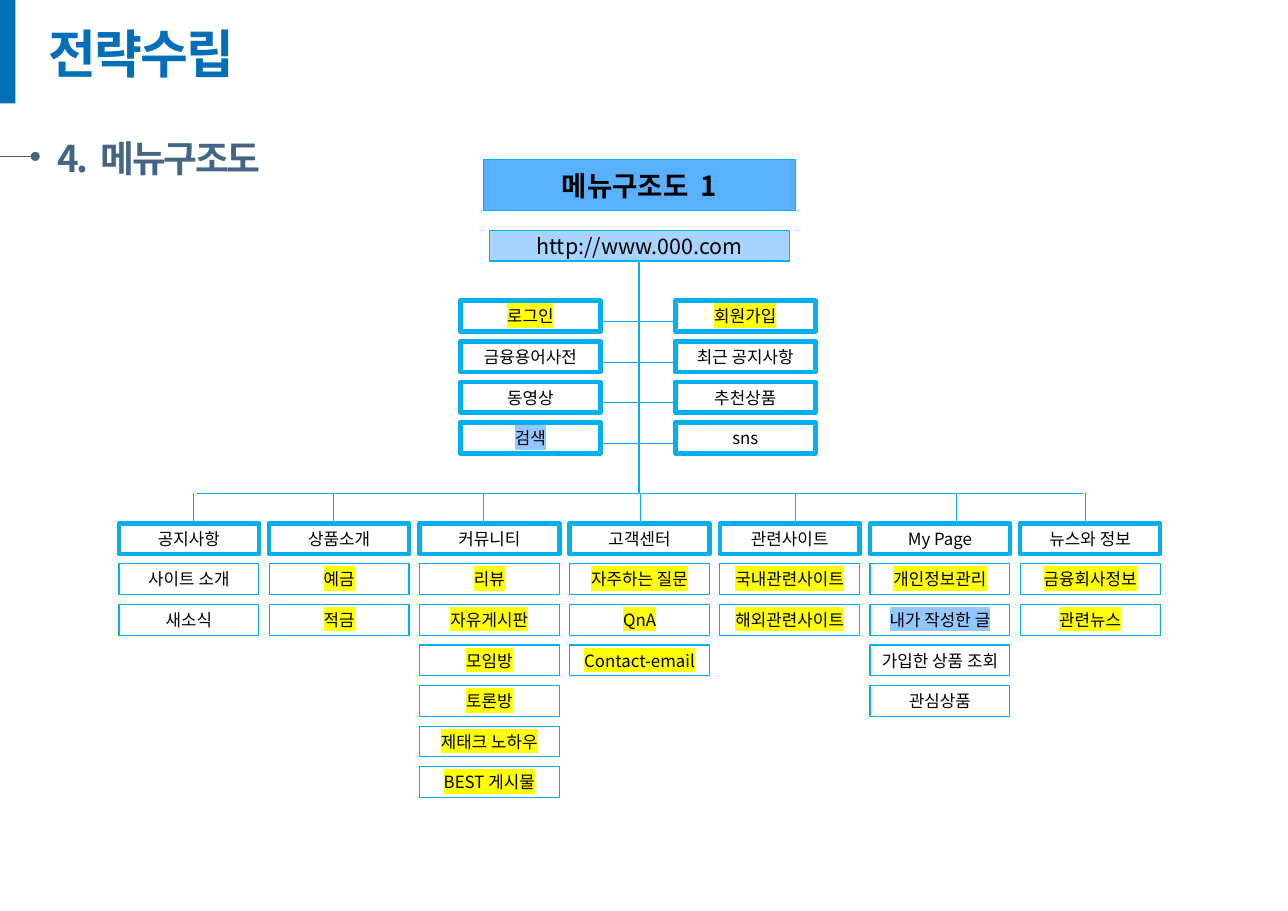
"""Build the menu structure slide of a financial information site."""
from dataclasses import dataclass

from lxml import etree
from pptx import Presentation
from pptx.dml.color import RGBColor
from pptx.enum.shapes import MSO_CONNECTOR, MSO_SHAPE
from pptx.enum.text import MSO_ANCHOR, MSO_AUTO_SIZE, PP_ALIGN
from pptx.oxml.ns import qn
from pptx.shapes.autoshape import Shape
from pptx.shapes.connector import Connector
from pptx.slide import Slide
from pptx.text.text import TextFrame, _Paragraph
from pptx.util import Inches, Pt

RECTANGLE = MSO_SHAPE.RECTANGLE
STRAIGHT = MSO_CONNECTOR.STRAIGHT
MIDDLE = MSO_ANCHOR.MIDDLE
TOP = MSO_ANCHOR.TOP
CENTER = PP_ALIGN.CENTER
LEFT = PP_ALIGN.LEFT
NO_AUTO_SIZE = MSO_AUTO_SIZE.NONE


@dataclass(frozen=True)
class Theme:
    """Colours, type sizes and line widths of the slide."""

    font: str = "Noto Sans CJK KR"
    title: str = "016FB8"
    subtitle: str = "446684"
    text: str = "000000"
    border: str = "00B0F0"
    white: str = "FFFFFF"
    banner: str = "59B0FF"
    address: str = "A6D4FF"
    yellow: str = "FFFF00"
    blue: str = "94C7FF"
    title_size: float = 34
    subtitle_size: float = 24
    banner_size: float = 18
    address_size: float = 14
    menu_size: float = 11
    thick: float = 3
    thin: float = 0.75
    hairline: float = 0.5


THEME = Theme()


@dataclass(frozen=True)
class TextStyle:
    """Look of one run of text."""

    size: float
    color: str = THEME.text
    bold: bool = False
    spacing: float = 0
    highlight: str = ""


@dataclass(frozen=True)
class MenuItem:
    """One menu entry and its highlight colour."""

    label: str
    highlight: str = ""


@dataclass(frozen=True)
class MenuColumn:
    """One main menu with the position of its branch and its entries."""

    heading: str
    branch_x: float
    items: tuple[MenuItem, ...]


def marked(*labels: str) -> tuple[MenuItem, ...]:
    """Return yellow entries for the labels."""
    return tuple(MenuItem(label, THEME.yellow) for label in labels)


MENU_COLUMNS = (
    MenuColumn("공지사항", 1.76, (MenuItem("사이트 소개"), MenuItem("새소식"))),
    MenuColumn("상품소개", 3.03, marked("예금", "적금")),
    MenuColumn("커뮤니티", 4.39, marked(
        "리뷰", "자유게시판", "모임방", "토론방", "제태크 노하우", "BEST 게시물")),
    MenuColumn("고객센터", 5.81, marked("자주하는 질문", "QnA", "Contact-email")),
    MenuColumn("관련사이트", 7.22, marked("국내관련사이트", "해외관련사이트")),
    MenuColumn("My Page", 8.68, (
        *marked("개인정보관리"), MenuItem("내가 작성한 글", THEME.blue),
        MenuItem("가입한 상품 조회"), MenuItem("관심상품"))),
    MenuColumn("뉴스와 정보", 9.85, marked("금융회사정보", "관련뉴스")),
)
SIDE_MENUS = {
    4.18: (*marked("로그인"), MenuItem("금융용어사전"), MenuItem("동영상"),
           MenuItem("검색", THEME.blue)),
    6.13: (*marked("회원가입"), MenuItem("최근 공지사항"), MenuItem("추천상품"),
           MenuItem("sns")),
}
BOX_WIDTH, BOX_HEIGHT = 1.27, 0.28
MENU_LEFT, MENU_TOP, SIDE_TOP = 1.08, 4.75, 2.73
COLUMN_STEP = (9.26 - MENU_LEFT) / 6
ROW_STEP = (6.96 - MENU_TOP) / 6
TRUNK_X, TRUNK_TOP, BRANCH_Y = 5.8, 2.38, 4.48
SIDE_LINE_STOPS = (5.35, 5.74, 6.13)
SIDE_LINE_TOP = 2.92


def add_run(paragraph: _Paragraph, text: str, style: TextStyle) -> None:
    """Add one styled run to a paragraph."""
    run = paragraph.add_run()
    run.text = text
    run.font.size = Pt(style.size)
    run.font.bold = style.bold
    run.font.color.rgb = RGBColor.from_string(style.color)
    properties = run._r.get_or_add_rPr()
    if style.spacing:
        properties.set("spc", str(round(style.spacing * 100)))
    if style.highlight:
        highlight = etree.SubElement(properties, qn("a:highlight"))
        etree.SubElement(highlight, qn("a:srgbClr"), val=style.highlight)
    run.font.name = THEME.font
    etree.SubElement(properties, qn("a:ea"), typeface=THEME.font)


def prepare_frame(frame: TextFrame, anchor: MSO_ANCHOR, alignment: PP_ALIGN) -> _Paragraph:
    """Set up an unwrapped text frame and return its paragraph."""
    frame.word_wrap = False
    frame.auto_size = NO_AUTO_SIZE
    frame.vertical_anchor = anchor
    frame.paragraphs[0].alignment = alignment
    return frame.paragraphs[0]


def add_rectangle(slide: Slide, left: float, top: float, width: float, height: float,
                  fill: str, line_width: float = 0) -> Shape:
    """Add a filled rectangle, outlined when a line width is given."""
    shape = slide.shapes.add_shape(
        RECTANGLE, Inches(left), Inches(top), Inches(width), Inches(height))
    shape.shadow.inherit = False
    shape.fill.solid()
    shape.fill.fore_color.rgb = RGBColor.from_string(fill)
    if line_width:
        shape.line.color.rgb = RGBColor.from_string(THEME.border)
        shape.line.width = Pt(line_width)
    else:
        shape.line.fill.background()
    return shape


def write_label(shape: Shape, *runs: tuple[str, TextStyle]) -> None:
    """Write centred runs in a box."""
    paragraph = prepare_frame(shape.text_frame, MIDDLE, CENTER)
    for text, style in runs:
        add_run(paragraph, text, style)


def add_menu_box(slide: Slide, left: float, top: float, item: MenuItem,
                 line_width: float) -> None:
    """Add one menu entry box."""
    shape = add_rectangle(slide, left, top, BOX_WIDTH, BOX_HEIGHT, THEME.white, line_width)
    write_label(shape, (item.label, TextStyle(THEME.menu_size, highlight=item.highlight)))


def add_line(slide: Slide, start: tuple[float, float], end: tuple[float, float],
             color: str = THEME.border, width: float = THEME.thin) -> Connector:
    """Add a straight line without a shadow."""
    line = slide.shapes.add_connector(STRAIGHT, *map(Inches, (*start, *end)))
    line.line.color.rgb = RGBColor.from_string(color)
    line.line.width = Pt(width)
    etree.SubElement(line._element.spPr, qn("a:effectLst"))
    return line


def add_headings(slide: Slide) -> None:
    """Add the title, the subtitle and their marks."""
    add_rectangle(slide, 0, 0, 0.14, 0.94, THEME.title)
    title = slide.shapes.title
    title.left, title.top, title.width, title.height = map(Inches, (0.34, 0.2, 2.01, 0.62))
    paragraph = prepare_frame(title.text_frame, MIDDLE, LEFT)
    paragraph.line_spacing = 0.9
    add_run(paragraph, "전략수립", TextStyle(THEME.title_size, THEME.title, True, -1.1))

    subtitle = slide.shapes.add_textbox(*map(Inches, (0.42, 1.18, 2.09, 0.5)))
    paragraph = prepare_frame(subtitle.text_frame, TOP, LEFT)
    for text, spacing in (("4.", -1.5), (" ", 2.5), ("메뉴구조도", -1.5)):
        add_run(paragraph, text, TextStyle(THEME.subtitle_size, THEME.subtitle, True, spacing))
    pointer = add_line(slide, (-0.01, 1.42), (0.32, 1.42), THEME.subtitle, THEME.hairline)
    etree.SubElement(pointer.line._get_or_add_ln(), qn("a:tailEnd"), type="oval")


def add_site_map(slide: Slide) -> None:
    """Add the banner, the connecting lines and all menus."""
    add_line(slide, (1.79, BRANCH_Y), (9.83, BRANCH_Y))
    add_line(slide, (TRUNK_X, TRUNK_TOP), (TRUNK_X, BRANCH_Y))
    banner = add_rectangle(slide, 4.39, 1.45, 2.83, 0.46, THEME.banner, THEME.thin)
    bold = TextStyle(THEME.banner_size, bold=True)
    gap = TextStyle(THEME.banner_size, bold=True, spacing=4)
    write_label(banner, ("메뉴구조도", bold), (" ", gap), ("1", bold))
    address = add_rectangle(slide, 4.44, 2.09, 2.73, BOX_HEIGHT, THEME.address, THEME.thin)
    write_label(address, ("http://www.000.com", TextStyle(THEME.address_size)))

    for row in range(4):
        y = SIDE_LINE_TOP + row * ROW_STEP
        for start, end in zip(SIDE_LINE_STOPS, SIDE_LINE_STOPS[1:]):
            add_line(slide, (start, y), (end, y))
    for left, items in SIDE_MENUS.items():
        for row, item in enumerate(items):
            add_menu_box(slide, left, SIDE_TOP + row * ROW_STEP, item, THEME.thick)
    for index, column in enumerate(MENU_COLUMNS):
        left = MENU_LEFT + index * COLUMN_STEP
        add_line(slide, (column.branch_x, BRANCH_Y), (column.branch_x, MENU_TOP))
        add_menu_box(slide, left, MENU_TOP, MenuItem(column.heading), THEME.thick)
        for row, item in enumerate(column.items, start=1):
            add_menu_box(slide, left, MENU_TOP + row * ROW_STEP, item, THEME.thin)


def main() -> None:
    """Create and save the presentation."""
    presentation = Presentation()
    presentation.slide_width, presentation.slide_height = Inches(11.69), Inches(8.27)
    slide = presentation.slides.add_slide(presentation.slide_layouts[5])
    add_headings(slide)
    add_site_map(slide)
    presentation.save("out.pptx")


if __name__ == "__main__":
    main()
